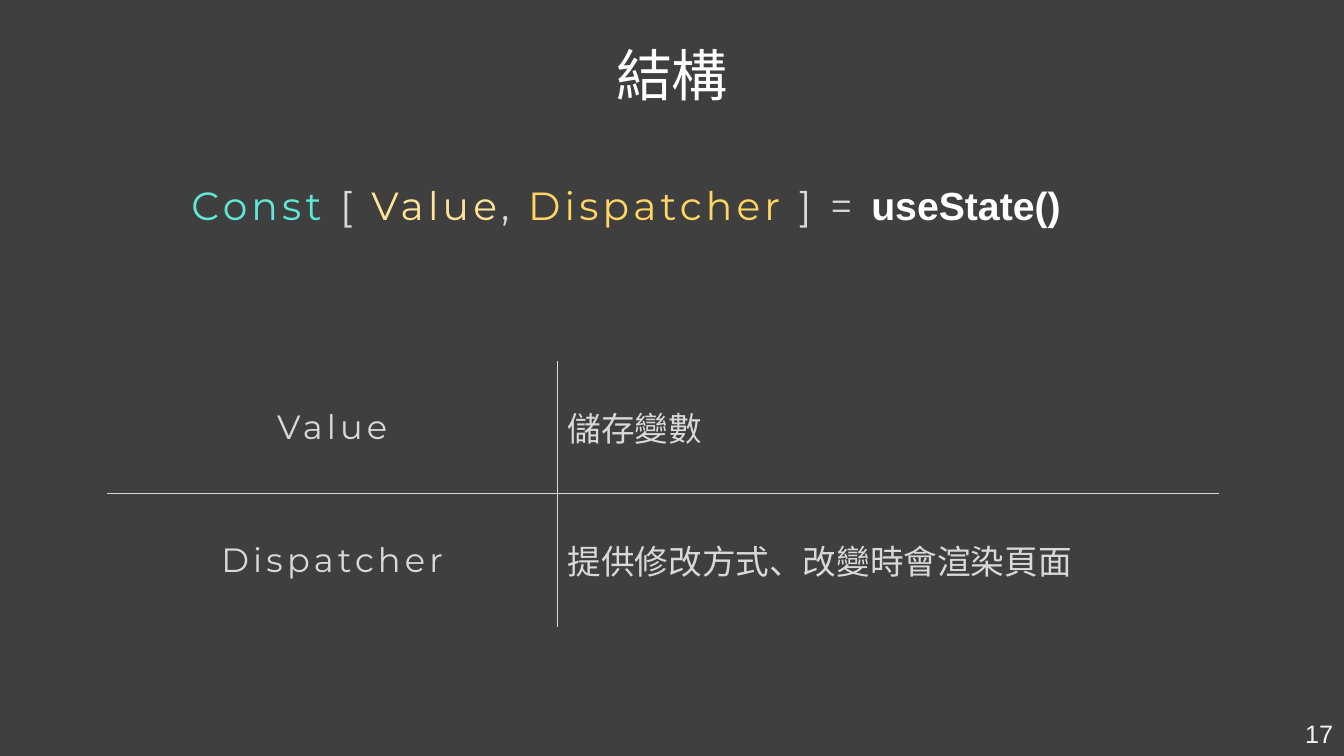
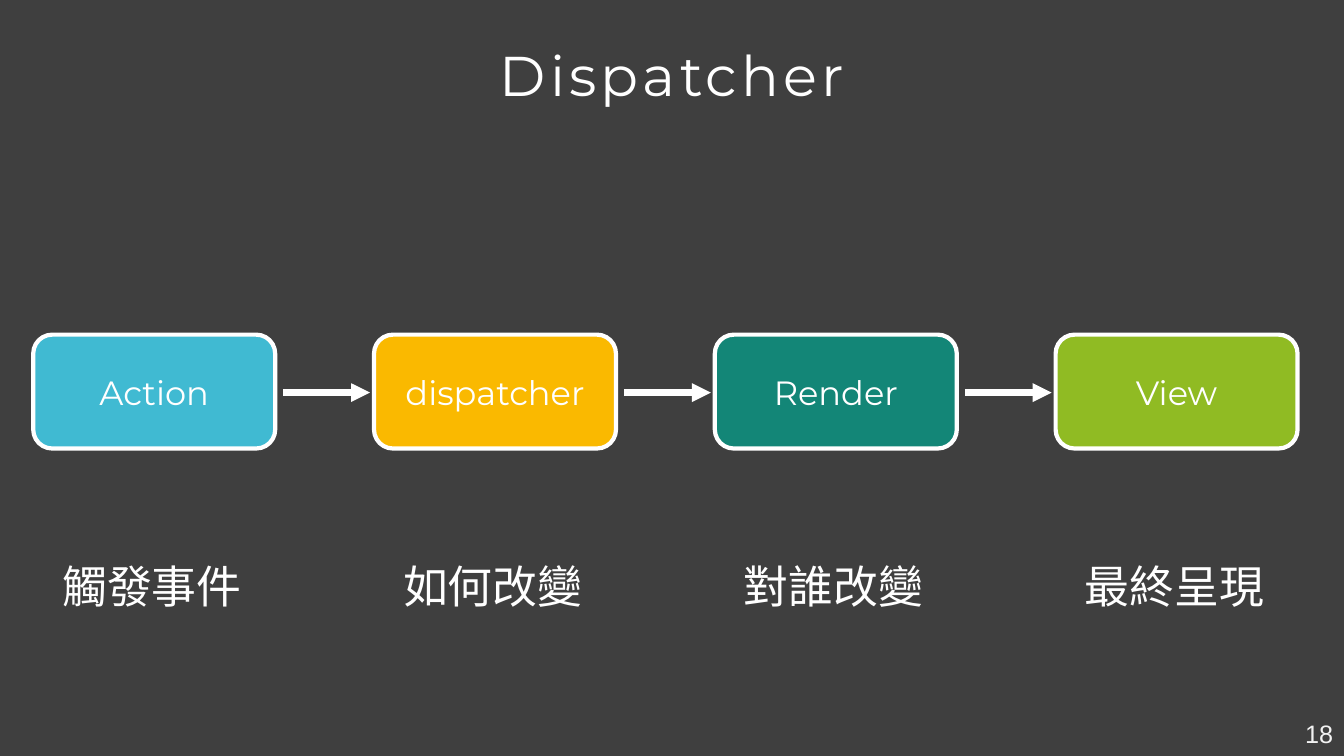
from lxml.etree import SubElement
from pptx import Presentation
from pptx.dml.color import RGBColor
from pptx.enum.shapes import MSO_CONNECTOR, MSO_SHAPE
from pptx.enum.text import MSO_ANCHOR, MSO_AUTO_SIZE, PP_ALIGN
from pptx.oxml import parse_xml
from pptx.oxml.ns import nsdecls, qn
from pptx.util import Inches, Pt

BACKGROUND = RGBColor(0x3F, 0x3F, 0x3F)
WHITE = RGBColor(0xFF, 0xFF, 0xFF)
OFF_WHITE = RGBColor(0xF2, 0xF2, 0xF2)
LIGHT_GREY = RGBColor(0xD9, 0xD9, 0xD9)
AQUA = RGBColor(0x5F, 0xE8, 0xD6)
PALE_YELLOW = RGBColor(0xFF, 0xE4, 0x97)
YELLOW = RGBColor(0xFF, 0xD6, 0x63)
BLUE = RGBColor(0x40, 0xBA, 0xD2)
AMBER = RGBColor(0xFA, 0xB9, 0x00)
TEAL = RGBColor(0x13, 0x86, 0x77)
GREEN = RGBColor(0x90, 0xBB, 0x23)

LATIN = "Montserrat"
PLAIN = "Arial"
CHINESE = "Calibri"
WIDE_SPACING = "300"

SLIDE_WIDTH, SLIDE_HEIGHT = 13.33, 7.5
STEP_LEFT, STEP_TOP, STEP_PITCH = 0.33, 3.32, 3.38
STEP_WIDTH, STEP_HEIGHT = 2.4, 1.13
ARROW_GAP, ARROW_LENGTH = 0.08, 0.86
CAPTION_INDENT, CAPTION_TOP = 0.19, 5.49


def inches(*lengths):
    return [Inches(length) for length in lengths]


def style_font(font, name, size, color):
    font.name = name
    font.size = Pt(size)
    font.color.rgb = color


def write(frame, text, name, size, color, align=PP_ALIGN.LEFT, spaced=False):
    para = frame.paragraphs[0]
    para.alignment = align
    style_font(para.font, name, size, color)
    span = para.add_run()
    span.text = text
    if spaced:
        span.font._element.set("spc", WIDE_SPACING)
    return para


def add_text_box(page, left, top, width, height):
    frame = page.shapes.add_textbox(*inches(left, top, width, height)).text_frame
    frame.word_wrap = False
    frame.auto_size = MSO_AUTO_SIZE.SHAPE_TO_FIT_TEXT
    return frame


def add_page(deck, title, title_font, number):
    page = deck.slides.add_slide(deck.slide_layouts.get_by_name("Title Only"))
    box = page.shapes.title
    box.left, box.top, box.width, box.height = inches(0, 0.47, SLIDE_WIDTH, 0.61)
    frame = box.text_frame
    frame.auto_size = MSO_AUTO_SIZE.NONE
    frame.vertical_anchor = MSO_ANCHOR.MIDDLE
    para = write(frame, title, title_font, 40, WHITE, PP_ALIGN.CENTER, title_font == LATIN)
    para.line_spacing = 0.9
    para.space_before = Pt(12)
    footer = add_text_box(page, 11.65, 7.08, 1.67, 0.4)
    footer.word_wrap = True
    write(footer, str(number), PLAIN, 18, OFF_WHITE, PP_ALIGN.RIGHT)
    return page


def add_code_line(page, spans):
    para = add_text_box(page, 1.8, 1.75, 9.73, 0.57).paragraphs[0]
    for text, color in spans:
        span = para.add_run()
        span.text = text
        style_font(span.font, LATIN, 28, color)
        span.font._element.set("spc", WIDE_SPACING)
    call = para.add_run()
    call.text = "useState()"
    style_font(call.font, PLAIN, 28, WHITE)
    call.font.bold = True


def set_borders(cell, visible_sides):
    properties = cell._tc.get_or_add_tcPr()
    for index, side in enumerate("LRTB"):
        if side in visible_sides:
            paint = f'<a:solidFill><a:srgbClr val="{LIGHT_GREY}"/></a:solidFill>'
        else:
            paint = "<a:noFill/>"
        border = parse_xml(f'<a:ln{side} {nsdecls("a")} w="12700">{paint}</a:ln{side}>')
        properties.insert(index, border)


def add_definitions(page, rows):
    column_widths, row_height = (4.47, 6.56), 1.32
    size = inches(1.06, 3.58, sum(column_widths), row_height * len(rows))
    table = page.shapes.add_table(len(rows), len(column_widths), *size).table
    table.first_row = table.horz_banding = False
    for column, width in zip(table.columns, column_widths):
        column.width = Inches(width)
    for row_index, texts in enumerate(rows):
        table.rows[row_index].height = Inches(row_height)
        for column_index, text in enumerate(texts):
            cell = table.cell(row_index, column_index)
            cell.fill.background()
            cell.vertical_anchor = MSO_ANCHOR.MIDDLE
            set_borders(cell, "RL"[column_index] + "BT"[row_index])
            if column_index == 0:
                write(cell.text_frame, text, LATIN, 24, LIGHT_GREY, PP_ALIGN.CENTER, True)
            else:
                write(cell.text_frame, text, PLAIN, 24, LIGHT_GREY)


def add_step(page, left, label, color):
    box = page.shapes.add_shape(
        MSO_SHAPE.ROUNDED_RECTANGLE, *inches(left, STEP_TOP, STEP_WIDTH, STEP_HEIGHT)
    )
    box.shadow.inherit = False
    box.fill.solid()
    box.fill.fore_color.rgb = color
    box.line.color.rgb = WHITE
    box.line.width = Pt(3)
    box.text_frame.vertical_anchor = MSO_ANCHOR.MIDDLE
    write(box.text_frame, label, LATIN, 24, WHITE, PP_ALIGN.CENTER)


def add_arrow(page, left):
    middle = STEP_TOP + STEP_HEIGHT / 2 + 0.01
    arrow = page.shapes.add_connector(
        MSO_CONNECTOR.STRAIGHT, *inches(left, middle, left + ARROW_LENGTH, middle)
    )
    arrow.line.color.rgb = WHITE
    arrow.line.width = Pt(4.5)
    SubElement(arrow.line._get_or_add_ln(), qn("a:tailEnd"), type="triangle")
    SubElement(arrow._element.spPr, qn("a:effectLst"))


def add_flow(page, steps):
    for index, (label, color, caption) in enumerate(steps):
        left = STEP_LEFT + index * STEP_PITCH
        add_step(page, left, label, color)
        frame = add_text_box(page, left + CAPTION_INDENT, CAPTION_TOP, 2, 0.64)
        write(frame, caption, CHINESE, 32, WHITE)
        if index < len(steps) - 1:
            add_arrow(page, left + STEP_WIDTH + ARROW_GAP)


def main():
    deck = Presentation()
    deck.slide_width, deck.slide_height = inches(SLIDE_WIDTH, SLIDE_HEIGHT)
    background = deck.slide_master.background.fill
    background.solid()
    background.fore_color.rgb = BACKGROUND

    structure = add_page(deck, "結構", CHINESE, 17)
    add_code_line(structure, [
        ("Const", AQUA),
        (" [ ", LIGHT_GREY),
        ("Value", PALE_YELLOW),
        (", ", LIGHT_GREY),
        ("Dispatcher", YELLOW),
        (" ] = ", LIGHT_GREY),
    ])
    add_definitions(structure, [
        ("Value", "儲存變數"),
        ("Dispatcher", "提供修改方式、改變時會渲染頁面"),
    ])

    dispatcher = add_page(deck, "Dispatcher", LATIN, 18)
    add_flow(dispatcher, [
        ("Action", BLUE, "觸發事件"),
        ("dispatcher", AMBER, "如何改變"),
        ("Render", TEAL, "對誰改變"),
        ("View", GREEN, "最終呈現"),
    ])
    deck.save("out.pptx")


if __name__ == "__main__":
    main()
